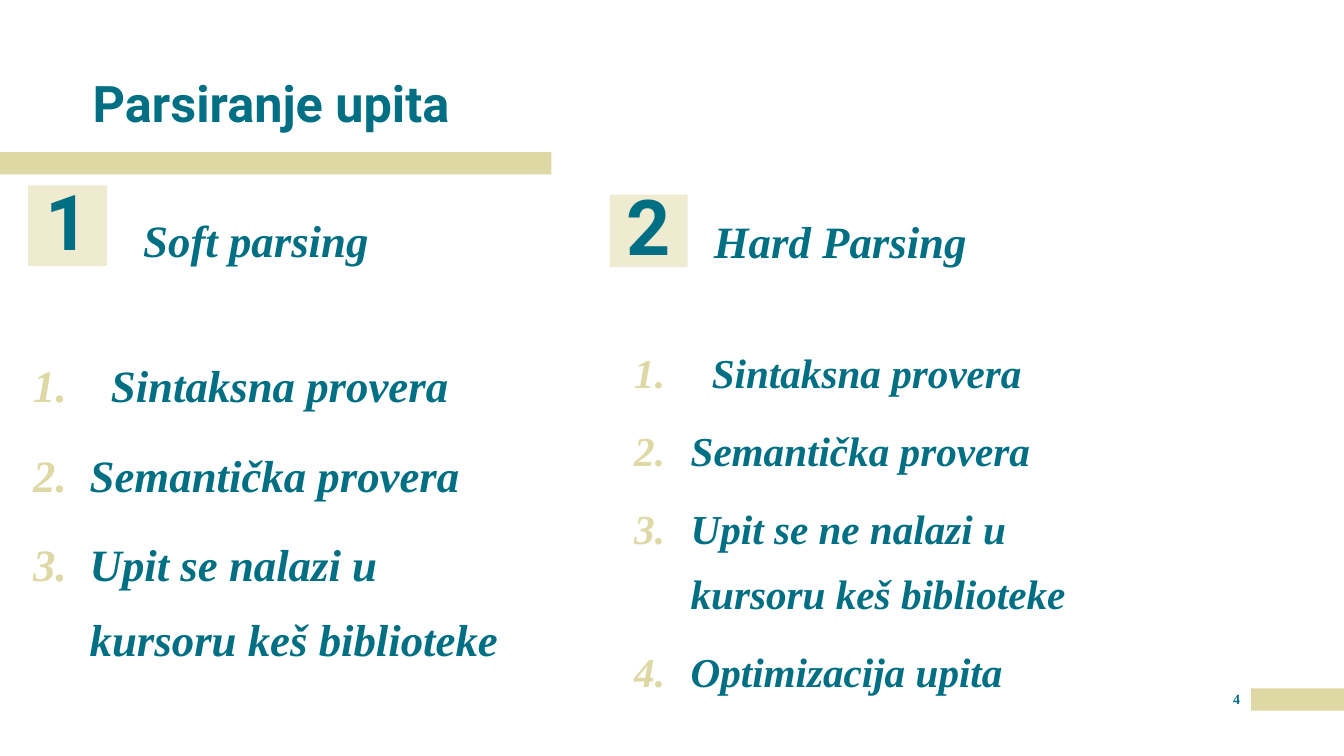
import dataclasses

import lxml.etree
import pptx
import pptx.dml.color
import pptx.enum.shapes
import pptx.enum.text
import pptx.oxml.ns
import pptx.util

Inches = pptx.util.Inches
Align = pptx.enum.text.PP_ALIGN
Anchor = pptx.enum.text.MSO_ANCHOR


@dataclasses.dataclass(frozen=True)
class Theme:
    """Colours, fonts and type sizes of the slide."""

    teal: str = "006F83"
    sand: str = "DED8A4"
    display: str = "Roboto"
    body: str = "Times New Roman"
    title_size: float = 36
    badge_size: float = 55
    heading_size: float = 32
    soft_size: float = 32
    hard_size: float = 29.4
    number_size: float = 10


THEME = Theme()


def add_child(parent, tag, **attributes):
    """Append a drawing element to parent and return it."""
    return lxml.etree.SubElement(parent, pptx.oxml.ns.qn(tag), attributes)


def prepare(frame, anchor):
    """Wrap the text frame and remove its margins."""
    frame.word_wrap = True
    frame.vertical_anchor = anchor
    frame.margin_left = frame.margin_right = 0
    frame.margin_top = frame.margin_bottom = 0


def style(paragraph, size, family, italic=False):
    """Give a paragraph the bold teal type."""
    font = paragraph.font
    font.size, font.name = pptx.util.Pt(size), family
    font.bold, font.italic = True, italic
    font.color.rgb = pptx.dml.color.RGBColor.from_string(THEME.teal)


def add_line(slide, box, text, size, family, italic=False,
             anchor=Anchor.TOP, align=Align.LEFT):
    """Place a one-line text in the box."""
    frame = slide.shapes.add_textbox(*map(Inches, box)).text_frame
    prepare(frame, anchor)
    line = frame.paragraphs[0]
    line.text, line.alignment = text, align
    style(line, size, family, italic)


def add_bar(slide, box):
    """Place a sand rectangle in the box and return it."""
    bar = slide.shapes.add_shape(
        pptx.enum.shapes.MSO_SHAPE.RECTANGLE, *map(Inches, box))
    bar.shadow.inherit = False
    bar.fill.solid()
    bar.fill.fore_color.rgb = pptx.dml.color.RGBColor.from_string(THEME.sand)
    bar.line.fill.background()
    return bar


def add_badge(slide, box, digit):
    """Place a half-transparent square with a digit."""
    badge = add_bar(slide, box)
    colour = badge.fill._xPr.find(".//" + pptx.oxml.ns.qn("a:srgbClr"))
    add_child(colour, "a:alpha", val="50000")
    prepare(badge.text_frame, Anchor.MIDDLE)
    label = badge.text_frame.paragraphs[0]
    label.text, label.alignment, label.line_spacing = digit, Align.CENTER, 0.9
    style(label, THEME.badge_size, THEME.display)


def add_steps(slide, box, steps, size, spacing):
    """Place a numbered list whose first step is set further in."""
    frame = slide.shapes.add_textbox(*map(Inches, box)).text_frame
    prepare(frame, Anchor.TOP)
    for index, step in enumerate(steps):
        item = frame.paragraphs[0] if index == 0 else frame.add_paragraph()
        item.text, item.line_spacing = step, spacing
        item.space_before = pptx.util.Pt(10 if index else 0)
        style(item, size, THEME.body, italic=True)
        indent = Inches(0.56 if index else 0.77)
        properties = item._p.get_or_add_pPr()
        properties.set("marL", str(indent))
        properties.set("indent", str(-indent))
        number_colour = lxml.etree.Element(pptx.oxml.ns.qn("a:buClr"))
        add_child(number_colour, "a:srgbClr", val=THEME.sand)
        numbering = lxml.etree.Element(
            pptx.oxml.ns.qn("a:buAutoNum"), type="arabicPeriod")
        defaults = properties.find(pptx.oxml.ns.qn("a:defRPr"))
        defaults.addprevious(number_colour)
        defaults.addprevious(numbering)


def add_header(slide, box):
    """Place the title and the bar below it."""
    left, top, width, height = box
    add_line(slide, (left + 0.92, top, width, height), "Parsiranje upita",
             THEME.title_size, THEME.display, anchor=Anchor.BOTTOM)
    add_bar(slide, (left, top + 0.84, 5.47, 0.22))


def add_parsing(slide, box, badge, digit, heading, heading_at, steps,
                steps_at, size, spacing):
    """Place one kind of parsing: badge, heading and steps."""
    left, top, width, height = box
    add_badge(slide, (left, top, *badge), digit)
    x, y = heading_at
    add_line(slide, (left + x, top + y, width - x, 0.55), heading,
             THEME.heading_size, THEME.body, italic=True)
    x, y = steps_at
    add_steps(slide, (left + x, top + y, width - x, height - y),
              steps, size, spacing)


def add_footer(slide, box):
    """Place the slide number and the bar beside it."""
    left, top, width, height = box
    add_line(slide, (left, top + 0.02, 0.29, 0.25), "4",
             THEME.number_size, THEME.body, align=Align.CENTER)
    add_bar(slide, (left + 0.29, top, width - 0.29, height))


def main():
    """Build the slide and save it."""
    deck = pptx.Presentation()
    deck.slide_width, deck.slide_height = Inches(13.33), Inches(7.5)
    slide = deck.slides.add_slide(deck.slide_layouts[6])
    add_header(slide, (0, 0.67, 8.53, 0.65))
    add_parsing(
        slide, (0.28, 1.84, 4.89, 4.89), (0.78, 0.8), "1",
        "Soft parsing", (1.14, 0.27),
        ["Sintaksna provera", "Semantička provera",
         "Upit se nalazi u kursoru keš biblioteke"],
        (0.05, 1.5), THEME.soft_size, 1.4)
    add_parsing(
        slide, (6.05, 1.93, 5.36, 4.95), (0.77, 0.72), "2",
        "Hard Parsing", (1.03, 0.19),
        ["Sintaksna provera", "Semantička provera",
         "Upit se ne nalazi u kursoru keš biblioteke",
         "Optimizacija upita"],
        (0.24, 1.37), THEME.hard_size, 1.3)
    add_footer(slide, (12.12, 6.83, 1.21, 0.22))
    deck.save("out.pptx")


if __name__ == "__main__":
    main()
